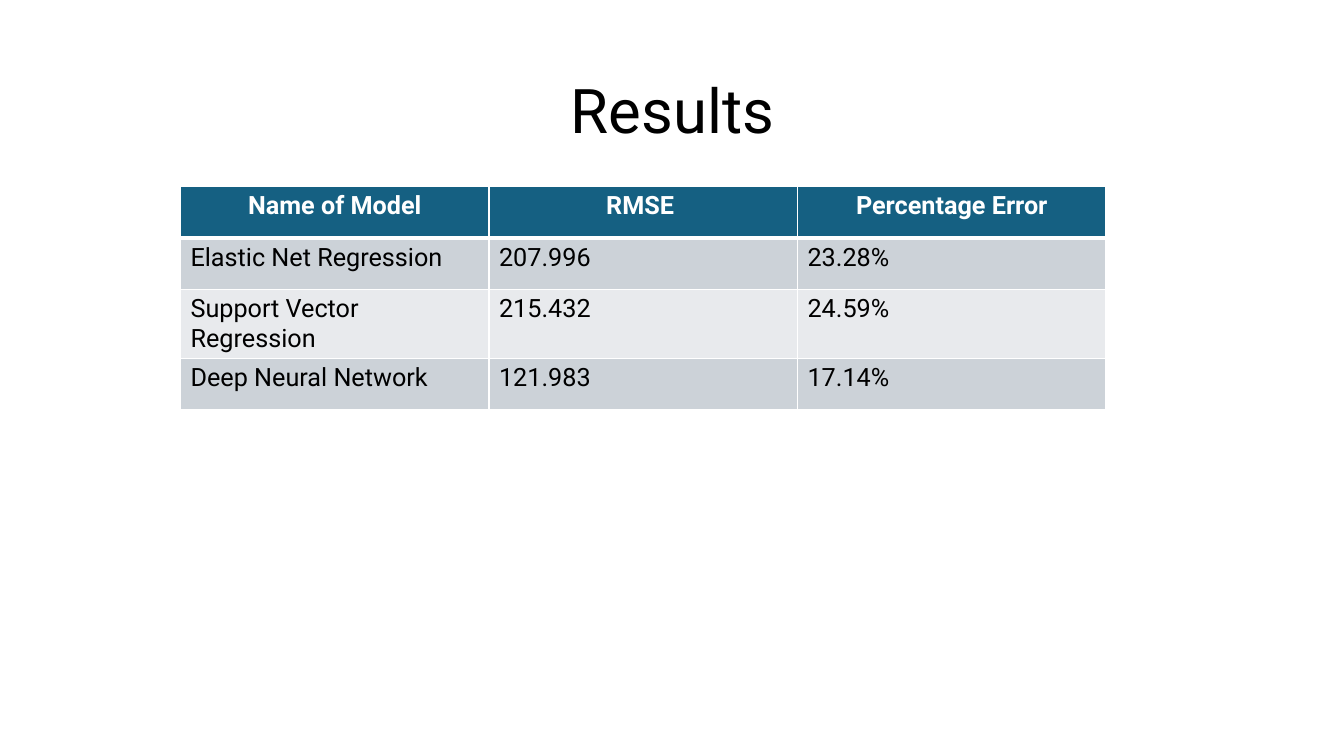
from lxml import etree
from pptx import Presentation
from pptx.dml.color import RGBColor
from pptx.enum.text import MSO_ANCHOR, PP_ALIGN
from pptx.oxml.ns import qn
from pptx.util import Emu, Pt

LEFT, CENTER = PP_ALIGN.LEFT, PP_ALIGN.CENTER
MIDDLE = MSO_ANCHOR.MIDDLE
EMU_PER_PX = 9144
TITLE_ONLY = 5

BLACK = RGBColor(0x00, 0x00, 0x00)
WHITE = RGBColor(0xFF, 0xFF, 0xFF)
TEAL = RGBColor(0x15, 0x60, 0x82)
BAND_DARK = RGBColor(0xCC, 0xD2, 0xD8)
BAND_LIGHT = RGBColor(0xE8, 0xEA, 0xED)

RESULTS = [
    ["Name of Model", "RMSE ", "Percentage Error"],
    ["Elastic Net Regression", "207.996", "23.28%"],
    ["Support Vector Regression", "215.432", "24.59%"],
    ["Deep Neural Network", "121.983", "17.14%"],
]


def px(length):
    return Emu(length * EMU_PER_PX)


class ResultsSlide:
    """Holds the text style and the slide, and adds its elements."""

    font = "Roboto"

    def __init__(self, presentation):
        self.slide = presentation.slides.add_slide(presentation.slide_layouts[TITLE_ONLY])

    def add_text(self, text_frame, text, size, color, alignment, bold=False):
        paragraph = text_frame.paragraphs[0]
        paragraph.alignment = alignment
        run = paragraph.add_run()
        run.text = text
        run.font.color.rgb = color
        for name, value in {"name": self.font, "size": Pt(size), "bold": bold}.items():
            setattr(run.font, name, value)
        return paragraph

    def title(self, text, left, top, width, height):
        shape = self.slide.shapes.title
        box = {"left": left, "top": top, "width": width, "height": height}
        for name, value in box.items():
            setattr(shape, name, px(value))
        shape.text_frame.vertical_anchor = MIDDLE
        self.add_text(shape.text_frame, text, 44, BLACK, CENTER).line_spacing = 0.9

    def border(self, cell, side, points):
        properties = cell._tc.get_or_add_tcPr()
        line = etree.SubElement(properties, qn(f"a:ln{side}"), w=str(Pt(points)))
        fill = etree.SubElement(line, qn("a:solidFill"))
        etree.SubElement(fill, qn("a:srgbClr"), val=str(WHITE))

    def table(self, rows, left, top, column_width, row_height):
        columns = len(rows[0])
        table = self.slide.shapes.add_table(
            len(rows), columns, px(left), px(top),
            px(columns * column_width), px(len(rows) * row_height)).table
        for column in table.columns:
            column.width = px(column_width)
        for row_index, texts in enumerate(rows):
            header = row_index == 0
            band = BAND_DARK if row_index % 2 else BAND_LIGHT
            for column_index, text in enumerate(texts):
                cell = table.cell(row_index, column_index)
                widths = {"L": 1, "R": 1, "T": 3 if row_index == 1 else 1, "B": 3 if header else 1}
                for side, points in widths.items():
                    self.border(cell, side, points)
                cell.fill.solid()
                cell.fill.fore_color.rgb = TEAL if header else band
                self.add_text(cell.text_frame, text, 18, WHITE if header else BLACK,
                              CENTER if header else LEFT, header)


def main():
    presentation = Presentation()
    presentation.slide_width, presentation.slide_height = px(1333), px(750)
    results = ResultsSlide(presentation)
    results.title("Results", 92, 40, 1150, 145)
    results.table(RESULTS, 179, 185, 306, 51)
    presentation.save("out.pptx")


if __name__ == "__main__":
    main()
